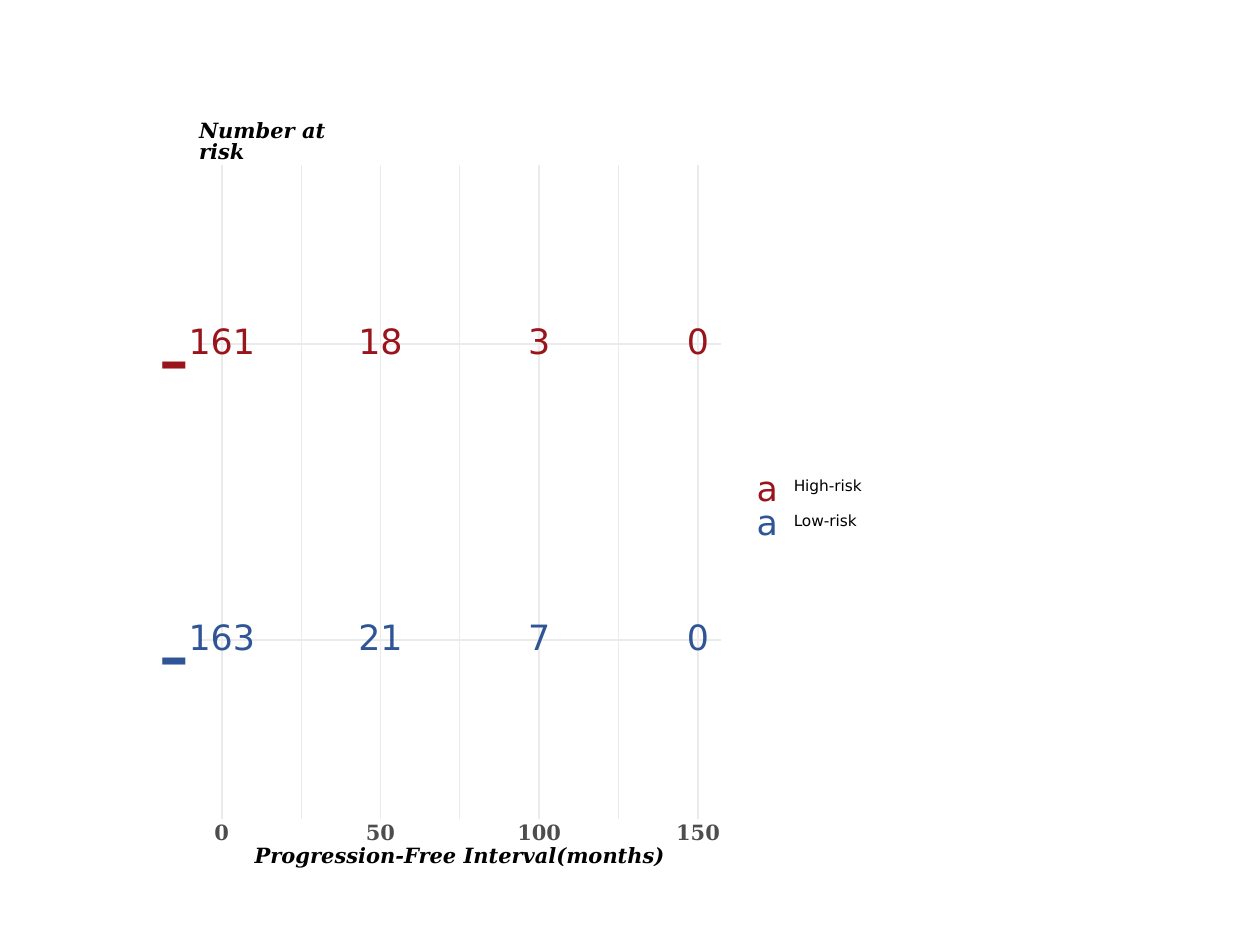
import pptx
from pptx.dml.color import RGBColor
from pptx.enum.shapes import MSO_CONNECTOR, MSO_SHAPE
from pptx.enum.text import MSO_ANCHOR, MSO_AUTO_SIZE, PP_ALIGN
from pptx.util import Inches, Pt
from lxml import etree

RED = RGBColor(0x99, 0x15, 0x1B)
BLUE = RGBColor(0x30, 0x55, 0x96)
GRID = RGBColor(0xEB, 0xEB, 0xEB)
GRAY = RGBColor(0x4D, 0x4D, 0x4D)
BLACK = RGBColor(0, 0, 0)
WHITE = RGBColor(0xFF, 0xFF, 0xFF)
SANS, SERIF = "DejaVu Sans", "DejaVu Serif"

TITLE = "Number at risk"
AXIS_TITLE = "Progression-Free Interval(months)"
MONTHS = [0, 50, 100, 150]
MINOR_MONTHS = [25, 75, 125]
GROUPS = [  # name, colour, counts at risk, row y, legend key y, legend label y
    ("High-risk", RED, [161, 18, 3, 0], 2.73, 3.9, 3.86),
    ("Low-risk", BLUE, [163, 21, 7, 0], 5.08, 4.17, 4.145),
]

LEFT, RIGHT, TOP, BOTTOM = 1.58, 5.72, 1.31, 6.5
MONTH_0, PER_MONTH = 1.76, 1.26 / 50
COUNT_DIGIT, TICK_DIGIT = 0.176, 0.116  # digit widths in inches


def month_x(month):
    return MONTH_0 + month * PER_MONTH


def format_text(shape, text, size, font, color, bold=False, italic=False,
                align=PP_ALIGN.CENTER):
    tf = shape.text_frame
    tf.text = text
    tf.word_wrap = False
    tf.auto_size = MSO_AUTO_SIZE.NONE
    tf.vertical_anchor = MSO_ANCHOR.MIDDLE
    tf.margin_left = tf.margin_right = tf.margin_top = tf.margin_bottom = 0
    p = tf.paragraphs[0]
    p.alignment = align
    p.line_spacing = Pt(size)
    f = p.runs[0].font
    f.size, f.name, f.bold, f.italic = Pt(size), font, bold, italic
    f.color.rgb = color


def add_label(s, text, x, y, w, h, *style, **options):
    """Add a text box centred on x, y."""
    box = s.shapes.add_textbox(Inches(x - w / 2), Inches(y - h / 2),
                               Inches(w), Inches(h))
    format_text(box, text, *style, **options)


def add_grid_line(s, x1, y1, x2, y2, width=1.07):
    line = s.shapes.add_connector(MSO_CONNECTOR.STRAIGHT, Inches(x1), Inches(y1),
                                  Inches(x2), Inches(y2))
    line.line.color.rgb = GRID
    line.line.width = Pt(width)
    etree.SubElement(line._element.spPr, pptx.oxml.ns.qn("a:effectLst"))


def add_panel(s):
    panel = s.shapes.add_shape(MSO_SHAPE.RECTANGLE, Inches(1), Inches(1),
                               Inches(6), Inches(6))
    panel.shadow.inherit = False
    panel.fill.solid()
    panel.fill.fore_color.rgb = WHITE
    panel.line.color.rgb = WHITE
    panel.line.width = Pt(0.75)
    s.shapes._spTree.insert(2, panel._element)  # behind the title


def add_title(s):
    title = s.shapes.title
    title.left, title.top = Inches(LEFT), Inches(1.07)
    title.width, title.height = Inches(1.42), Inches(0.13)
    format_text(title, TITLE, 12, SERIF, BLACK, True, True, align=PP_ALIGN.LEFT)


def main():
    prs = pptx.Presentation()
    prs.slide_width, prs.slide_height = Inches(10), Inches(7.5)
    s = prs.slides.add_slide(prs.slide_layouts[5])
    add_title(s)
    add_panel(s)

    for month in MINOR_MONTHS:
        add_grid_line(s, month_x(month), BOTTOM, month_x(month), TOP, 0.53)
    for _, _, _, row_y, _, _ in GROUPS:
        add_grid_line(s, LEFT, row_y, RIGHT, row_y)
    for month in MONTHS:
        add_grid_line(s, month_x(month), BOTTOM, month_x(month), TOP)

    for name, color, counts, row_y, key_y, label_y in GROUPS:
        for month, count in zip(MONTHS, counts):
            add_label(s, str(count), month_x(month), row_y, COUNT_DIGIT * len(str(count)),
                      0.21, 19.9, SANS, color)
        add_label(s, "-", 1.38, row_y + 0.15, 0.25, 0.06, 50, SANS, color)
        add_label(s, "a", 6.09, key_y, 0.17, 0.16, 19.9, SANS, color)
        add_label(s, name, 6.57, label_y, 0.54, 0.12, 8.8, SANS, BLACK,
                  align=PP_ALIGN.LEFT)

    for month in MONTHS:
        add_label(s, str(month), month_x(month), 6.62, TICK_DIGIT * len(str(month)),
                  0.13, 12, SERIF, GRAY, True)
    add_label(s, AXIS_TITLE, (LEFT + RIGHT) / 2, 6.8, 3.26, 0.16, 12, SERIF, BLACK,
              True, True)
    prs.save("out.pptx")


if __name__ == "__main__":
    main()
